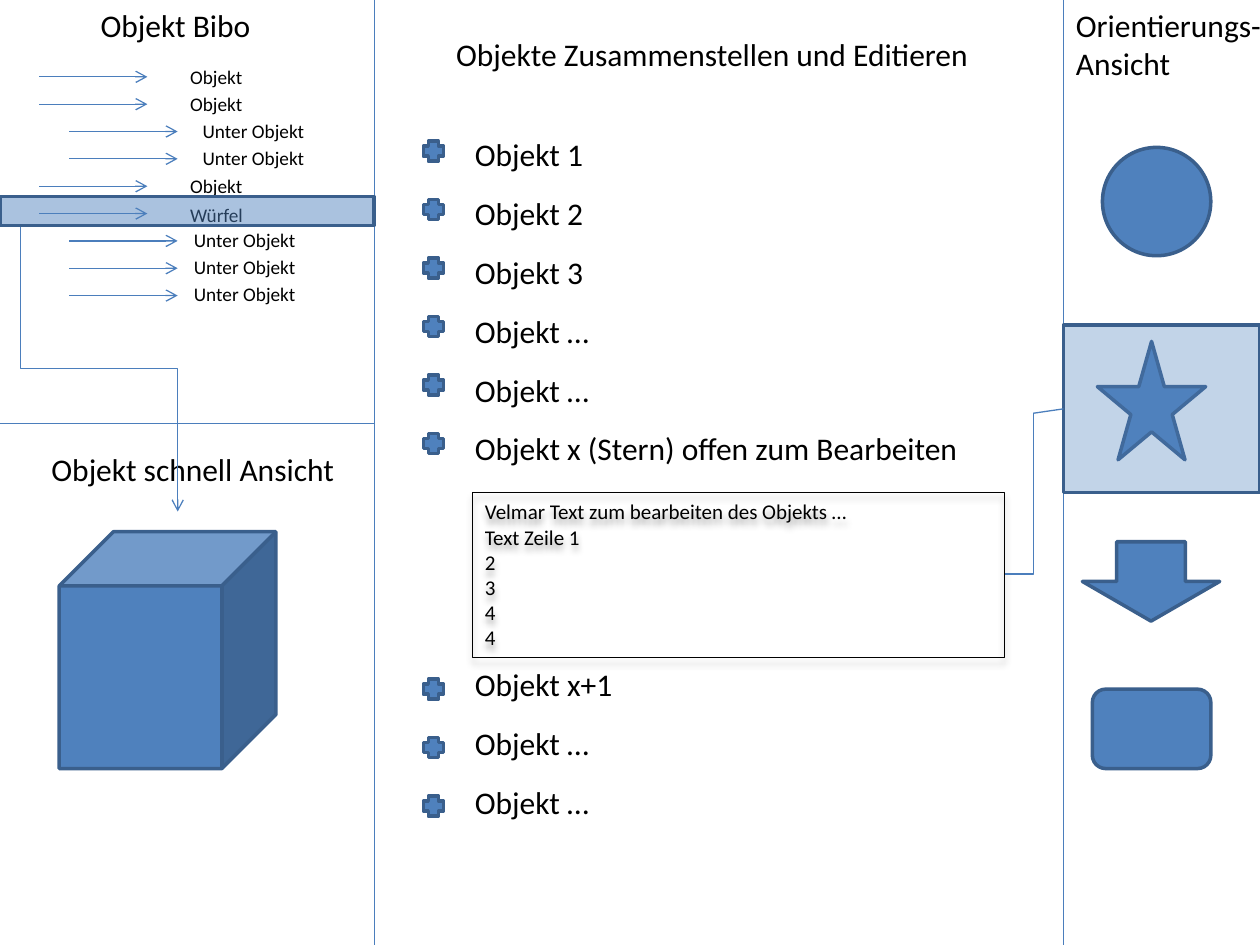
from dataclasses import dataclass

from lxml import etree
from pptx import Presentation
from pptx import util as u
from pptx.dml.color import RGBColor
from pptx.enum import shapes, text
from pptx.oxml import parse_xml
from pptx.oxml.ns import nsdecls, qn

FONT = "Calibri"
BLACK, BLUE, EDGE, WIRE = "000000", "4F81BD", "3A5F8C", "4B7EBC"
SHAPE = shapes.MSO_SHAPE
LEFT_EDGE, RIGHT_EDGE = 2.97, 8.44  # column dividers


@dataclass
class LibraryRow:
    label: str
    level: int = 0
    indent: float = 0
    nudge: float = 0


@dataclass
class ObjectGroup:
    labels: list[str]
    text_top: float
    plus_top: float


@dataclass
class Preview:
    kind: int
    left: float
    top: float
    width: float
    height: float


LIBRARY = [
    LibraryRow("Objekt"),
    LibraryRow("Objekt"),
    LibraryRow("Unter Objekt", 1, 0.1),
    LibraryRow("Unter Objekt", 1, 0.1),
    LibraryRow("Objekt"),
    LibraryRow("Würfel", nudge=0.02),
    LibraryRow("Unter Objekt", 1, 0.03),
    LibraryRow("Unter Objekt", 1, 0.03),
    LibraryRow("Unter Objekt", 1, 0.03),
]
GROUPS = [
    ObjectGroup(["Objekt 1", "Objekt 2", "Objekt 3", "Objekt …", "Objekt …",
                 "Objekt x (Stern) offen zum Bearbeiten"], 1.02, 1.12),
    ObjectGroup(["Objekt x+1", "Objekt …", "Objekt …"], 5.23, 5.39),
]
PREVIEWS = [
    Preview(SHAPE.OVAL, 8.75, 1.17, 0.86, 0.86),
    Preview(SHAPE.ROUNDED_RECTANGLE, 8.67, 5.47, 0.94, 0.63),
    Preview(SHAPE.STAR_5_POINT, 8.71, 2.71, 0.86, 0.94),
    Preview(SHAPE.DOWN_ARROW, 8.59, 4.3, 1.09, 0.63),
    Preview(SHAPE.CUBE, 0.47, 4.22, 1.72, 1.88),
]
EDITOR_LINES = ["Velmar Text zum bearbeiten des Objekts …", "Text Zeile 1",
                "2", "3", "4", "4"]


def color(value: str) -> RGBColor:
    return RGBColor.from_string(value)


def write(sp, *lines: str, size: float = 18, wrap: bool = False,
          anchor=text.MSO_ANCHOR.TOP) -> None:
    tf = sp.text_frame
    tf.word_wrap = wrap
    tf.auto_size = text.MSO_AUTO_SIZE.SHAPE_TO_FIT_TEXT
    tf.vertical_anchor = anchor
    for i, line in enumerate(lines):
        p = tf.add_paragraph() if i else tf.paragraphs[0]
        p.alignment = text.PP_ALIGN.LEFT
        r = p.add_run()
        r.text = line
        r.font.size = u.Pt(size)
        r.font.name = FONT
        r.font.color.rgb = color(BLACK)


def add_text(s, left: float, top: float, width: float, height: float,
             *lines: str, **fmt):
    sp = s.shapes.add_textbox(*map(u.Inches, (left, top, width, height)))
    write(sp, *lines, **fmt)
    return sp


def add_box(s, kind: int, left: float, top: float, width: float, height: float,
            fill: str | None = BLUE, alpha: int = 100, line: str = EDGE,
            weight: float = 2):
    sp = s.shapes.add_shape(kind, *map(u.Inches, (left, top, width, height)))
    sp.shadow.inherit = False
    sp.line.color.rgb = color(line)
    sp.line.width = u.Pt(weight)
    if fill is None:
        sp.fill.background()
        return sp
    sp.fill.solid()
    sp.fill.fore_color.rgb = color(fill)
    if alpha < 100:
        rgb = sp.fill._xPr.find(".//" + qn("a:srgbClr"))
        etree.SubElement(rgb, qn("a:alpha")).set("val", str(alpha * 1000))
    return sp


def add_line(s, x1: float, y1: float, x2: float, y2: float,
             kind=shapes.MSO_CONNECTOR.STRAIGHT, arrow: bool = False):
    sp = s.shapes.add_connector(kind, *map(u.Inches, (x1, y1, x2, y2)))
    sp.line.color.rgb = color(WIRE)
    sp.line.width = u.Pt(0.75)
    if arrow:
        ln = sp.line._get_or_add_ln()
        etree.SubElement(ln, qn("a:tailEnd")).set("type", "arrow")
    etree.SubElement(sp._element.spPr, qn("a:effectLst"))
    return sp


def add_elbow(s, left: float, top: float, width: float, height: float,
              degrees: int, preset: str, flip: bool = False,
              arrow: bool = False) -> None:
    sp = add_line(s, left, top, left + width, top + height,
                  shapes.MSO_CONNECTOR.ELBOW, arrow)
    spPr = sp._element.spPr
    xfrm = spPr.find(qn("a:xfrm"))
    xfrm.set("rot", str(degrees * 60000))
    if flip:
        xfrm.set("flipH", "1")
    spPr.find(qn("a:prstGeom")).set("prst", preset)


def add_shadow(sp) -> None:
    spPr = sp._element.spPr
    spPr.remove(spPr.find(qn("a:effectLst")))
    spPr.append(parse_xml(
        f'<a:effectLst {nsdecls("a")}><a:outerShdw blurRad="{u.Pt(4)}" '
        f'dist="{u.Pt(3)}" dir="5400000" rotWithShape="0"><a:srgbClr val="{BLACK}">'
        '<a:alpha val="40000"/></a:srgbClr></a:outerShdw></a:effectLst>'))


def main() -> None:
    prs = Presentation()
    prs.slide_width, prs.slide_height = u.Inches(10), u.Inches(7.5)
    s = prs.slides.add_slide(prs.slide_layouts[5])

    # Title of the middle column
    title = s.shapes.title
    title.left, title.top, title.width, title.height = map(
        u.Inches, (3.52, 0.23, 4.31, 0.4))
    write(title, "Objekte Zusammenstellen und Editieren")

    # Dividers
    add_line(s, LEFT_EDGE, 0, LEFT_EDGE, 7.5)
    add_line(s, 0, 3.36, LEFT_EDGE, 3.36)
    add_line(s, RIGHT_EDGE, 0, RIGHT_EDGE, 7.5)

    # Preview shapes
    for v in PREVIEWS:
        add_box(s, v.kind, v.left, v.top, v.width, v.height)

    # Library list, with the chosen row leading to the quick view
    add_text(s, 0.7, 0, 1.4, 0.4, "Objekt Bibo")
    add_text(s, 0.31, 3.52, 2.47, 0.4, "Objekt schnell Ansicht")
    add_elbow(s, -0.35, 2.3, 2.27, 1.25, 270, "bentConnector3",
              flip=True, arrow=True)
    for i, row in enumerate(LIBRARY):
        x, y = 0.31 + 0.24 * row.level, 0.61 + 0.217 * i
        add_line(s, x, y, x + 0.86, y, arrow=True)
        add_text(s, 1.41 + row.indent, 0.47 + 0.215 * i + row.nudge,
                 1.02 if row.level else 0.62, 0.29, row.label, size=11)
    add_box(s, SHAPE.RECTANGLE, 0, 1.56, LEFT_EDGE, 0.23, alpha=48)

    # Object list
    for group in GROUPS:
        for i, label in enumerate(group.labels):
            add_box(s, SHAPE.CROSS, 3.36, group.plus_top + 0.464 * i, 0.16, 0.16)
            add_text(s, 3.67, group.text_top + 0.468 * i,
                     4.12 if len(label) > 12 else 1.36, 0.4, label)

    # Editor box, linked to the chosen view
    editor = add_box(s, SHAPE.RECTANGLE, 3.75, 3.91, 4.22, 1.31, fill=None,
                     line=BLACK, weight=0.5)
    add_shadow(editor)
    write(editor, *EDITOR_LINES, size=12, wrap=True)
    panel = add_box(s, SHAPE.RECTANGLE, RIGHT_EDGE, 2.58, 1.56, 1.33, alpha=34)
    add_elbow(s, 7.45, 3.8, 1.28, 0.23, 90, "bentConnector2")
    link = add_line(s, 8.2, 3.28, RIGHT_EDGE, 3.24)
    link.end_connect(panel, 1)

    # Heading of the right column
    add_text(s, RIGHT_EDGE, 0, 1.69, 0.71, "Orientierungs-", "Ansicht")

    prs.save("out.pptx")


if __name__ == "__main__":
    main()
